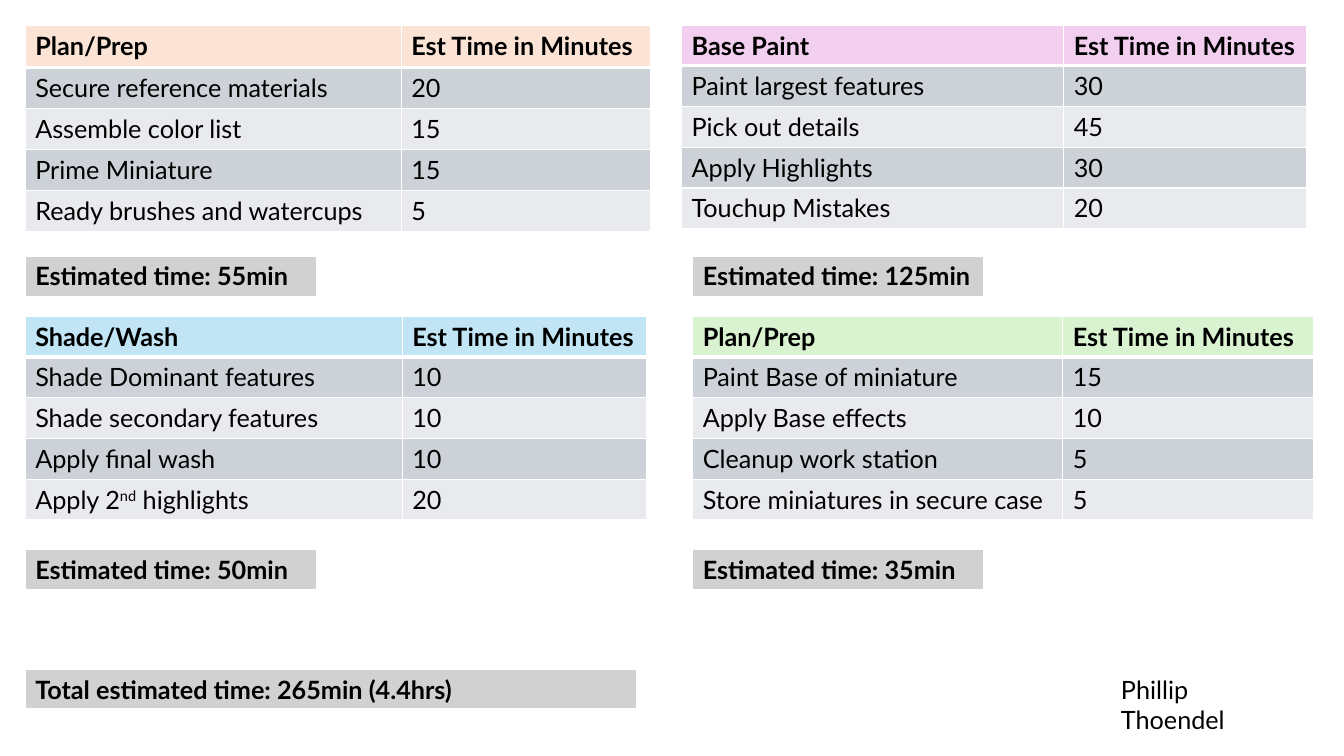
from lxml.etree import SubElement
from pptx import Presentation
from pptx.dml.color import RGBColor
from pptx.oxml.ns import qn
from pptx.util import Inches, Pt

BLACK = RGBColor(0x00, 0x00, 0x00)
WHITE = RGBColor(0xFF, 0xFF, 0xFF)
PEACH = RGBColor(0xFB, 0xE3, 0xD6)
PINK = RGBColor(0xF2, 0xCF, 0xEE)
SKY = RGBColor(0xC1, 0xE5, 0xF5)
MINT = RGBColor(0xD9, 0xF2, 0xD0)
GRAY = RGBColor(0xD1, 0xD1, 0xD1)
BANDS = (RGBColor(0xCC, 0xD2, 0xD8), RGBColor(0xE8, 0xEA, 0xED))

LEFT, RIGHT = 0.25, 6.87
PHASE_TOPS = (0.25, 3.14)
ESTIMATE_TOPS = (2.54, 5.45)
FOOTER_TOP = 6.64
ESTIMATE_SIZE = (2.89, 0.41)
HEADING = "Est Time in Minutes"
SECOND_HIGHLIGHTS = ("Apply 2", "nd", " highlights")

# Box (left, top, width, height), column split, header height, colour, title, steps
PHASES = [
    ((LEFT, PHASE_TOPS[0], 6.2, 2.05), 3.73, 0.42, PEACH, "Plan/Prep", [
        ("Secure reference materials", 20), ("Assemble color list", 15),
        ("Prime Miniature", 15), ("Ready brushes and watercups", 5)]),
    ((6.76, PHASE_TOPS[0], 6.2, 2.02), 3.79, 0.4, PINK, "Base Paint", [
        ("Paint largest features", 30), ("Pick out details", 45),
        ("Apply Highlights", 30), ("Touchup Mistakes", 20)]),
    ((LEFT, PHASE_TOPS[1], 6.16, 2.02), 3.74, 0.4, SKY, "Shade/Wash", [
        ("Shade Dominant features", 10), ("Shade secondary features", 10),
        ("Apply final wash", 10), (SECOND_HIGHLIGHTS, 20)]),
    ((RIGHT, PHASE_TOPS[1], 6.16, 2.02), 3.67, 0.4, MINT, "Plan/Prep", [
        ("Paint Base of miniature", 15), ("Apply Base effects", 10),
        ("Cleanup work station", 5), ("Store miniatures in secure case", 5)]),
]
ESTIMATES = [
    (LEFT, ESTIMATE_TOPS[0], "55min"), (RIGHT, ESTIMATE_TOPS[0], "125min"),
    (LEFT, ESTIMATE_TOPS[1], "50min"), (RIGHT, ESTIMATE_TOPS[1], "35min"),
]


def write(frame, content, bold=False):
    """Add a string, or a (base, superscript, rest) triple, run by run."""
    parts = (content,) if isinstance(content, str) else content
    for index, part in enumerate(parts):
        run = frame.paragraphs[0].add_run()
        run.text = part
        run.font.name = "Lato"
        run.font.size = Pt(18)
        run.font.bold = bold
        run.font.color.rgb = BLACK
        if index == 1:
            run.font._element.set("baseline", "30000")


def style_cell(cell, fill, top=1, bottom=1):
    """Draw white borders, with top and bottom widths in points, and fill the cell."""
    properties = cell._tc.get_or_add_tcPr()
    for side, width in (("L", 1), ("R", 1), ("T", top), ("B", bottom)):
        line = SubElement(properties, qn(f"a:ln{side}"), w=str(Pt(width)))
        solid = SubElement(line, qn("a:solidFill"))
        SubElement(solid, qn("a:srgbClr"), val=str(WHITE))
    cell.fill.solid()
    cell.fill.fore_color.rgb = fill


def add_plain_table(slide, box, rows, columns):
    table = slide.shapes.add_table(rows, columns, *map(Inches, box)).table
    table.first_row = table.horz_banding = False
    return table


def add_phase(slide, box, split, header_height, colour, title, steps):
    width, height = box[2:]
    table = add_plain_table(slide, box, len(steps) + 1, 2)
    for column, share in zip(table.columns, (split, width - split)):
        column.width = Inches(share)
    step_height = (height - header_height) / len(steps)
    for number, contents in enumerate([(title, HEADING), *steps]):
        header = number == 0
        table.rows[number].height = Inches(header_height if header else step_height)
        for cell, content in zip(table.rows[number].cells, contents):
            style_cell(cell, colour if header else BANDS[(number - 1) % 2],
                       top=3 if number == 1 else 1, bottom=3 if header else 1)
            write(cell.text_frame,
                  str(content) if isinstance(content, int) else content, bold=header)


def add_estimate(slide, box, caption):
    cell = add_plain_table(slide, box, 1, 1).cell(0, 0)
    style_cell(cell, GRAY, bottom=3)
    write(cell.text_frame, caption, bold=True)


def add_author(slide, box, name):
    frame = slide.shapes.add_textbox(*map(Inches, box)).text_frame
    frame.word_wrap = True
    write(frame, name)


def main():
    deck = Presentation()
    deck.slide_width, deck.slide_height = Inches(13.33), Inches(7.5)
    slide = deck.slides.add_slide(deck.slide_layouts[6])
    for phase in PHASES:
        add_phase(slide, *phase)
    for left, top, duration in ESTIMATES:
        add_estimate(slide, (left, top, *ESTIMATE_SIZE), f"Estimated time: {duration}")
    add_estimate(slide, (LEFT, FOOTER_TOP, 6.06, 0.4),
                 "Total estimated time: 265min (4.4hrs)")
    add_author(slide, (11.02, FOOTER_TOP, 1.5, 0.4), "Phillip Thoendel")
    deck.save("out.pptx")


if __name__ == "__main__":
    main()
